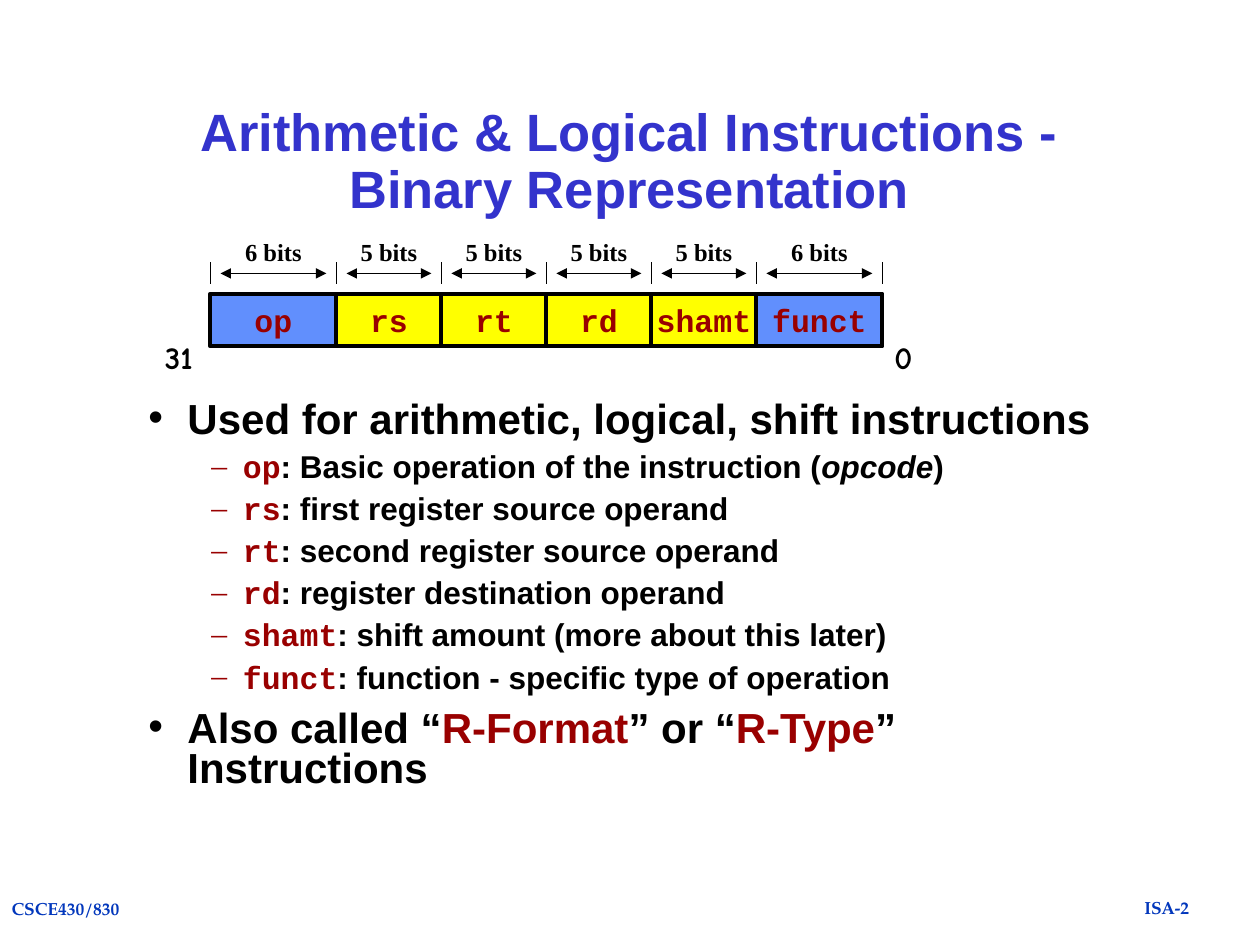
"""Build the slide on the binary layout of arithmetic and logical instructions."""
from lxml.etree import SubElement
from pptx import Presentation
from pptx.dml.color import RGBColor
from pptx.enum.shapes import MSO_CONNECTOR, MSO_SHAPE
from pptx.enum.text import MSO_ANCHOR, PP_ALIGN
from pptx.oxml.ns import qn
from pptx.util import Inches, Pt

BLACK = RGBColor(0x00, 0x00, 0x00)
RED = RGBColor(0x99, 0x00, 0x00)
INDIGO = RGBColor(0x33, 0x33, 0xCC)
NAVY = RGBColor(0x02, 0x37, 0xBC)
BLUE = RGBColor(0x61, 0x8F, 0xFD)
YELLOW = RGBColor(0xFF, 0xFF, 0x00)

TITLE = {"name": "Arial", "size": Pt(30), "color": INDIGO}
POINT = {"name": "Arial", "size": Pt(24), "color": BLACK}
POINT_KEY = {**POINT, "color": RED}
DETAIL = {**POINT, "size": Pt(18)}
DETAIL_ITALIC = {**DETAIL, "italic": True}
CODE = {"name": "Courier New", "size": Pt(18), "color": RED}
BITS = {"name": "Times New Roman", "size": Pt(14), "color": BLACK}
INDEX = {"name": "Comic Neue", "size": Pt(18), "color": BLACK}
FOOTER = {"name": "TeX Gyre Pagella", "size": Pt(10), "color": NAVY}

LEVELS = [
    {"char": "•", "color": BLACK, "font": "Arial", "left": 0.31, "hang": 0.31, "before": 9},
    {"char": "–", "color": RED, "font": "Times New Roman", "left": 0.75, "hang": 0.25, "before": 6.8},
]

FIELDS = [("op", 6), ("rs", 5), ("rt", 5), ("rd", 5), ("shamt", 5), ("funct", 6)]
FIELD_LEFT, FIELD_TOP, FIELD_HEIGHT = 1.67, 2.33, 0.42
BIT_WIDTH = 1 / 6
TICK_TOP, TICK_BOTTOM, ARROW_Y, ARROW_GAP = 2.08, 2.25, 2.17, 0.08
LABEL_TOP, LABEL_WIDTH = 1.83, 0.65

OUTLINE = [
    (0, [("Used for arithmetic, logical, shift instructions", POINT)]),
    (1, [("op", CODE), (": Basic operation of the instruction (", DETAIL),
         ("opcode", DETAIL_ITALIC), (")", DETAIL)]),
    (1, [("rs", CODE), (": first register source operand", DETAIL)]),
    (1, [("rt", CODE), (": second register source operand", DETAIL)]),
    (1, [("rd", CODE), (": register destination operand", DETAIL)]),
    (1, [("shamt", CODE), (": shift amount (more about this later)", DETAIL)]),
    (1, [("funct", CODE), (": function - specific type of operation", DETAIL)]),
    (0, [("Also called “", POINT), ("R-Format", POINT_KEY), ("” or “", POINT),
         ("R-Type", POINT_KEY), ("” Instructions", POINT)]),
]


class SlideBuilder:
    """Hold the shared style and the current page."""

    def __init__(self, page):
        self.page = page
        self.base = {"bold": True, "italic": False}

    def span(self, para, text, style):
        """Add a formatted run to a paragraph."""
        font = para.add_run().font
        para.runs[-1].text = text
        for key, value in {**self.base, **style}.items():
            if key == "color":
                font.color.rgb = value
            else:
                setattr(font, key, value)

    def centre(self, box, text, style, **frame_format):
        """Put one centred paragraph into a shape."""
        for key, value in frame_format.items():
            setattr(box.text_frame, key, value)
        para = box.text_frame.paragraphs[0]
        para.alignment = PP_ALIGN.CENTER
        self.span(para, text, style)
        return para

    def label(self, area, text, style, **frame_format):
        """Add a centred text box."""
        box = self.page.shapes.add_textbox(*map(Inches, area))
        return self.centre(box, text, style, **{"word_wrap": False, **frame_format})

    def field(self, area, text, colour):
        """Add an outlined instruction field."""
        box = self.page.shapes.add_shape(MSO_SHAPE.RECTANGLE, *map(Inches, area))
        box.shadow.inherit = False
        box.fill.solid()
        box.fill.fore_color.rgb = colour
        box.line.color.rgb = BLACK
        box.line.width = Pt(2.25)
        self.centre(box, text, CODE, word_wrap=False, vertical_anchor=MSO_ANCHOR.MIDDLE)

    def line(self, ends, arrows=False):
        """Add a thin line, with arrowheads at both ends on request."""
        line = self.page.shapes.add_connector(MSO_CONNECTOR.STRAIGHT, *map(Inches, ends))
        line.line.color.rgb = BLACK
        line.line.width = Pt(1)
        if arrows:
            outline = line.line._get_or_add_ln()
            for end in ("a:headEnd", "a:tailEnd"):
                SubElement(outline, qn(end), type="triangle")
        SubElement(line._element.spPr, qn("a:effectLst"))

    def bullet(self, para, level):
        """Give a paragraph the bullet and indent of its level."""
        mark = LEVELS[level]
        para.level = level
        props = para._p.get_or_add_pPr()
        props.set("marL", str(Inches(mark["left"])))
        props.set("indent", str(-Inches(mark["hang"])))
        colour = SubElement(props, qn("a:buClr"))
        SubElement(colour, qn("a:srgbClr"), val=str(mark["color"]))
        SubElement(props, qn("a:buFont"), typeface=mark["font"])
        SubElement(props, qn("a:buChar"), char=mark["char"])

    def outline(self, area, items):
        """Add a bulleted list of formatted paragraphs."""
        box = self.page.shapes.add_textbox(*map(Inches, area))
        frame = box.text_frame
        frame.word_wrap = True
        for number, (level, spans) in enumerate(items):
            para = frame.add_paragraph() if number else frame.paragraphs[0]
            self.bullet(para, level)
            para.line_spacing = 0.8
            if number:
                para.space_before = Pt(LEVELS[level]["before"])
            for text, style in spans:
                self.span(para, text, style)

    def tick(self, x):
        """Mark a field boundary."""
        self.line((x, TICK_BOTTOM, x, TICK_TOP))

    def instruction(self):
        """Draw the fields with their bit widths."""
        left = FIELD_LEFT
        self.tick(left)
        for name, bits in FIELDS:
            width = bits * BIT_WIDTH
            right = left + width
            self.field((left, FIELD_TOP, width, FIELD_HEIGHT), name, BLUE if bits == 6 else YELLOW)
            self.tick(right)
            self.line((left + ARROW_GAP, ARROW_Y, right - ARROW_GAP, ARROW_Y), arrows=True)
            label_left = left + (width - LABEL_WIDTH) / 2
            self.label((label_left, LABEL_TOP, LABEL_WIDTH, 0.34), f"{bits} bits", BITS)
            left = right


def main():
    """Create the deck and save it."""
    deck = Presentation()
    deck.slide_width, deck.slide_height = Inches(10), Inches(7.5)
    builder = SlideBuilder(deck.slides.add_slide(deck.slide_layouts[6]))
    builder.label((8.98, 7.07, 0.56, 0.26), "ISA-2", FOOTER)
    builder.label((-0.01, 7.08, 1.06, 0.26), "CSCE430/830", FOOTER)
    title = builder.label((1.08, 0.67, 7.83, 1.25),
                          "Arithmetic & Logical Instructions - Binary Representation", TITLE,
                          word_wrap=True, vertical_anchor=MSO_ANCHOR.MIDDLE)
    title.line_spacing = 0.9
    builder.outline((1.08, 3.14, 7.83, 3.37), OUTLINE)
    builder.instruction()
    builder.label((7, 2.63, 0.34, 0.4), "0", INDEX)
    builder.label((1.21, 2.63, 0.42, 0.4), "31", INDEX)
    deck.save("out.pptx")


if __name__ == "__main__":
    main()
